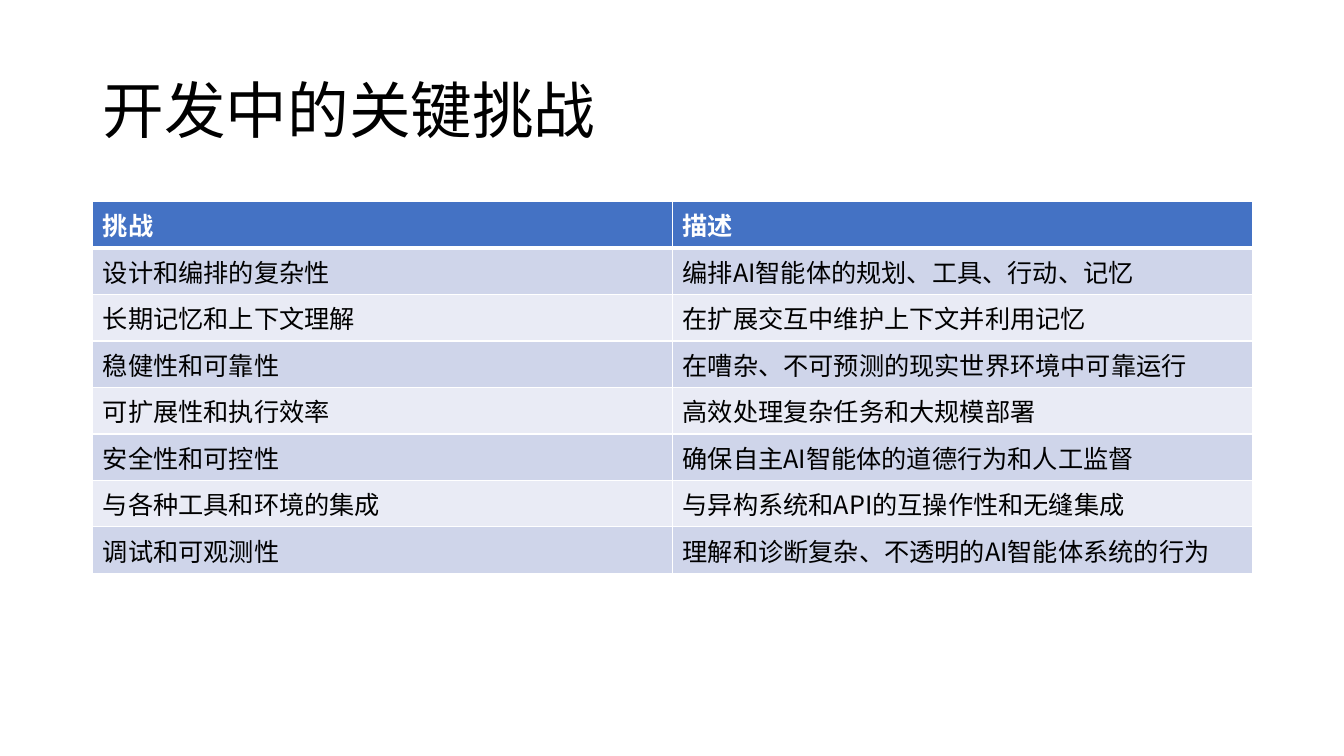
from lxml.etree import SubElement
from pptx import Presentation
from pptx.dml.color import RGBColor
from pptx.enum.text import MSO_ANCHOR
from pptx.oxml.ns import qn
from pptx.util import Inches, Pt

TITLE = "开发中的关键挑战"
ROWS = [
    ("挑战", "描述"),
    ("设计和编排的复杂性", "编排AI智能体的规划、工具、行动、记忆"),
    ("长期记忆和上下文理解", "在扩展交互中维护上下文并利用记忆"),
    ("稳健性和可靠性", "在嘈杂、不可预测的现实世界环境中可靠运行"),
    ("可扩展性和执行效率", "高效处理复杂任务和大规模部署"),
    ("安全性和可控性", "确保自主AI智能体的道德行为和人工监督"),
    ("与各种工具和环境的集成", "与异构系统和API的互操作性和无缝集成"),
    ("调试和可观测性", "理解和诊断复杂、不透明的AI智能体系统的行为"),
]
FONT = "Noto Sans CJK SC"
HEADER, BANDS = "4472C4", ("CFD5EA", "E9EBF5")
BLACK, WHITE = "000000", "FFFFFF"
LEFT, WIDTH = Inches(0.92), Inches(11.5)


def rgb(value):
    return RGBColor.from_string(value)


def style(p, size, color, bold=False):
    for r in p.runs:
        r.font.size = Pt(size)
        r.font.bold = bold
        r.font.color.rgb = rgb(color)
        r.font.name = FONT
        SubElement(r.font._element, qn("a:ea"), typeface=FONT)


def border(cell, side, width):
    ln = SubElement(cell._tc.get_or_add_tcPr(), qn("a:ln" + side), w=str(Pt(width)))
    SubElement(SubElement(ln, qn("a:solidFill")), qn("a:srgbClr"), val=WHITE)


def add_title(s):
    tf = s.shapes.add_textbox(LEFT, Inches(0.4), WIDTH, Inches(1.45)).text_frame
    tf.word_wrap = True
    tf.vertical_anchor = MSO_ANCHOR.MIDDLE
    p = tf.paragraphs[0]
    p.text = TITLE
    p.line_spacing = 0.9
    style(p, 44, BLACK)


def add_challenges(s):
    table = s.shapes.add_table(
        len(ROWS), len(ROWS[0]), LEFT, Inches(2), WIDTH, Inches(3.69)
    ).table
    for i, row in enumerate(ROWS):
        head = i == 0
        widths = {"L": 1, "R": 1, "T": 3 if i == 1 else 1, "B": 3 if head else 1}
        for j, text in enumerate(row):
            cell = table.cell(i, j)
            for side, width in widths.items():
                border(cell, side, width)
            cell.fill.solid()
            cell.fill.fore_color.rgb = rgb(HEADER if head else BANDS[(i - 1) % 2])
            cell.text_frame.text = text
            style(cell.text_frame.paragraphs[0], 18, WHITE if head else BLACK, head)


def main():
    prs = Presentation()
    prs.slide_width, prs.slide_height = Inches(13.33), Inches(7.5)
    s = prs.slides.add_slide(prs.slide_layouts[6])
    add_title(s)
    add_challenges(s)
    prs.save("out.pptx")


if __name__ == "__main__":
    main()
